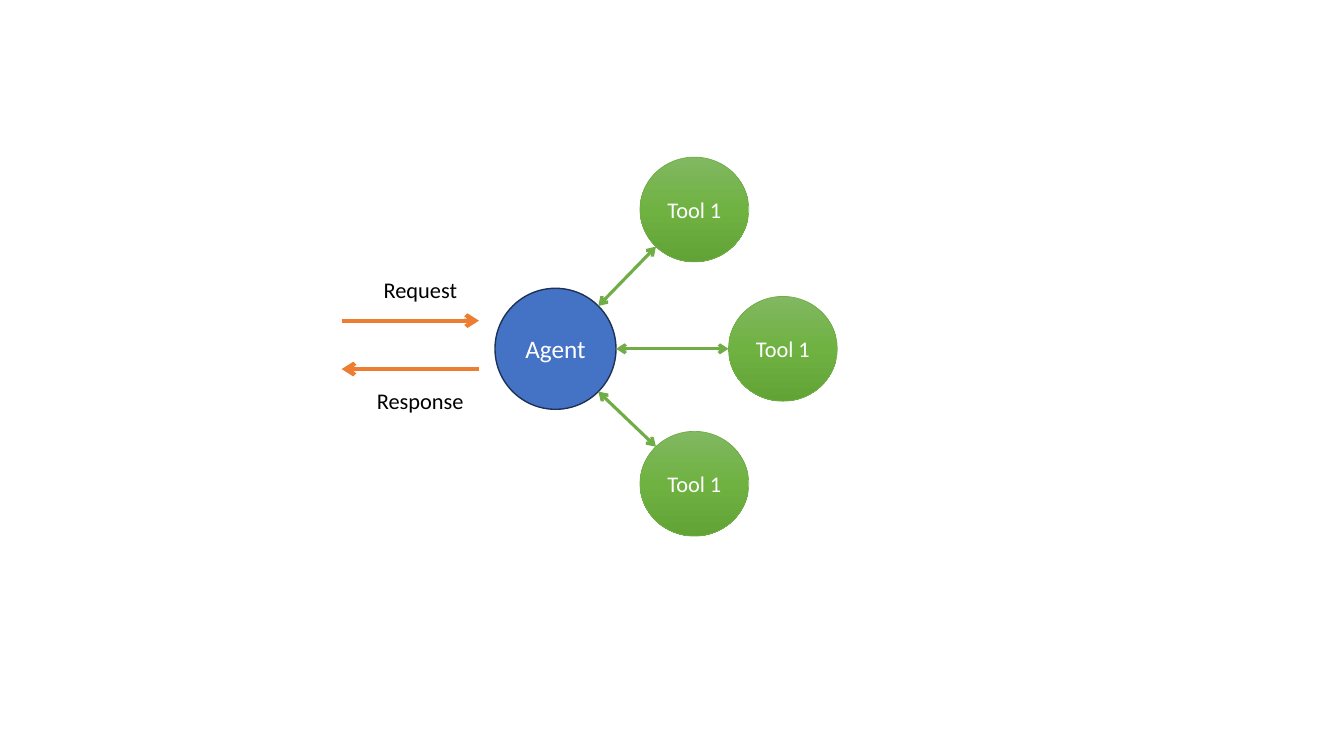
import copy
import math
from dataclasses import dataclass

from lxml import etree
from pptx import Presentation
from pptx import util as u
from pptx.dml import color
from pptx.enum import shapes, text
from pptx.oxml import ns

FONT = "Calibri"
GREEN = "70AD47"
ORANGE = "ED7D31"
TOOL_GRADIENT = ((0, "81B861"), (0.5, "6FB242"), (1, "62A336"))


@dataclass(frozen=True)
class Circle:
    label: str
    x: float
    y: float
    width: float
    height: float
    fill: tuple
    outline: str
    outline_width: float
    size: int

    def edge(self, degrees: float) -> tuple[float, float]:
        angle = math.radians(degrees)
        return (self.x + self.width / 2 * math.cos(angle),
                self.y + self.height / 2 * math.sin(angle))


@dataclass(frozen=True)
class Arrow:
    start: tuple[float, float]
    end: tuple[float, float]
    colour: str
    width: float
    ends: tuple[str, ...]


@dataclass(frozen=True)
class Label:
    wording: str
    left: float
    top: float
    width: float


def rgb(value: str) -> color.RGBColor:
    return color.RGBColor.from_string(value)


def write(text_frame, wording: str, size: int, colour: str) -> None:
    text_frame.text = wording
    font = text_frame.paragraphs[0].runs[0].font
    font.name = FONT
    font.size = u.Pt(size)
    font.color.rgb = rgb(colour)


def fill_gradient(shape, stops: tuple) -> None:
    shape.fill.gradient()
    shape.fill.gradient_angle = 270
    stop_list = shape._element.spPr.find(".//" + ns.qn("a:gsLst"))
    while len(stop_list) < len(stops):
        stop_list.append(copy.deepcopy(stop_list[0]))
    for stop, (position, colour) in zip(shape.fill.gradient_stops, stops):
        stop.position = position
        stop.color.rgb = rgb(colour)


def draw_circle(slide, circle: Circle) -> None:
    shape = slide.shapes.add_shape(
        shapes.MSO_SHAPE.OVAL,
        u.Cm(circle.x - circle.width / 2), u.Cm(circle.y - circle.height / 2),
        u.Cm(circle.width), u.Cm(circle.height))
    shape.shadow.inherit = False
    if len(circle.fill) > 1:
        fill_gradient(shape, circle.fill)
    else:
        shape.fill.solid()
        shape.fill.fore_color.rgb = rgb(circle.fill[0][1])
    shape.line.color.rgb = rgb(circle.outline)
    shape.line.width = u.Pt(circle.outline_width)
    write(shape.text_frame, circle.label, circle.size, "FFFFFF")
    shape.text_frame.vertical_anchor = text.MSO_ANCHOR.MIDDLE
    shape.text_frame.paragraphs[0].alignment = text.PP_ALIGN.CENTER


def draw_arrow(slide, arrow: Arrow) -> None:
    connector = slide.shapes.add_connector(
        shapes.MSO_CONNECTOR.STRAIGHT,
        *(u.Cm(value) for value in arrow.start + arrow.end))
    connector.line.color.rgb = rgb(arrow.colour)
    connector.line.width = u.Pt(arrow.width)
    properties = connector._element.spPr
    for end in arrow.ends:
        etree.SubElement(properties.find(ns.qn("a:ln")), ns.qn(f"a:{end}"), type="arrow")
    etree.SubElement(properties, ns.qn("a:effectLst"))


def draw_label(slide, label: Label) -> None:
    box = slide.shapes.add_textbox(
        u.Cm(label.left), u.Cm(label.top), u.Cm(label.width), u.Cm(0.94))
    box.text_frame.word_wrap = False
    box.text_frame.auto_size = text.MSO_AUTO_SIZE.SHAPE_TO_FIT_TEXT
    write(box.text_frame, label.wording, 16, "000000")


def main() -> None:
    presentation = Presentation()
    presentation.slide_width = u.Cm(33.87)
    presentation.slide_height = u.Cm(19.05)
    slide = presentation.slides.add_slide(presentation.slide_layouts[6])

    agent = Circle("Agent", 14, 8.79, 3.05, 3.05, ((0, "4472C4"),), "1E3256", 1, 18)
    draw_circle(slide, agent)

    for y, end in ((8.08, "tailEnd"), (9.3, "headEnd")):
        draw_arrow(slide, Arrow((8.61, y), (12.07, y), ORANGE, 3, (end,)))
    for label in (Label("Request", 9.42, 6.83, 2.39), Label("Response", 9.25, 9.63, 2.72)):
        draw_label(slide, label)

    for x, y, degrees in ((17.5, 5.28, -45), (19.73, 8.79, 0), (17.5, 12.19, 45)):
        tool = Circle("Tool 1", x, y, 2.74, 2.64, TOOL_GRADIENT, GREEN, 0.5, 16)
        draw_circle(slide, tool)
        draw_arrow(slide, Arrow(agent.edge(degrees), tool.edge(degrees + 180),
                                GREEN, 2.25, ("headEnd", "tailEnd")))

    presentation.save("out.pptx")


if __name__ == "__main__":
    main()
